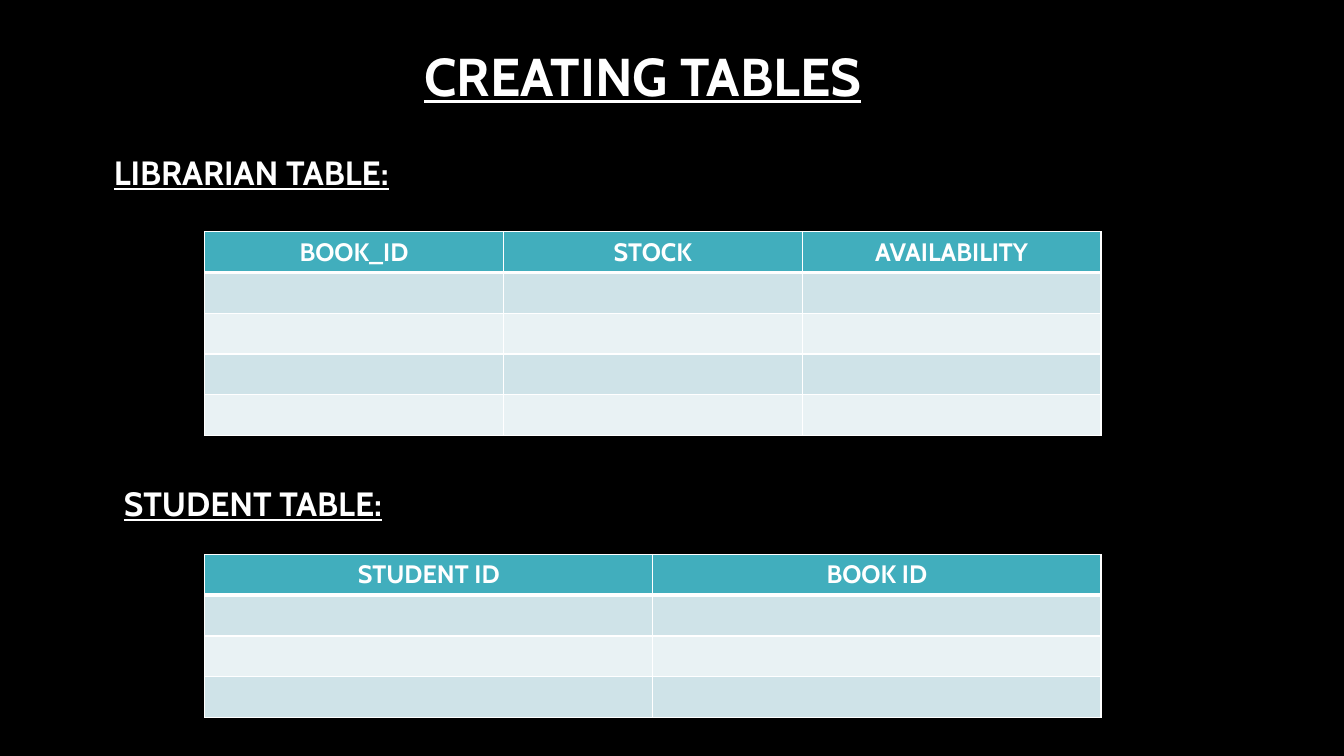
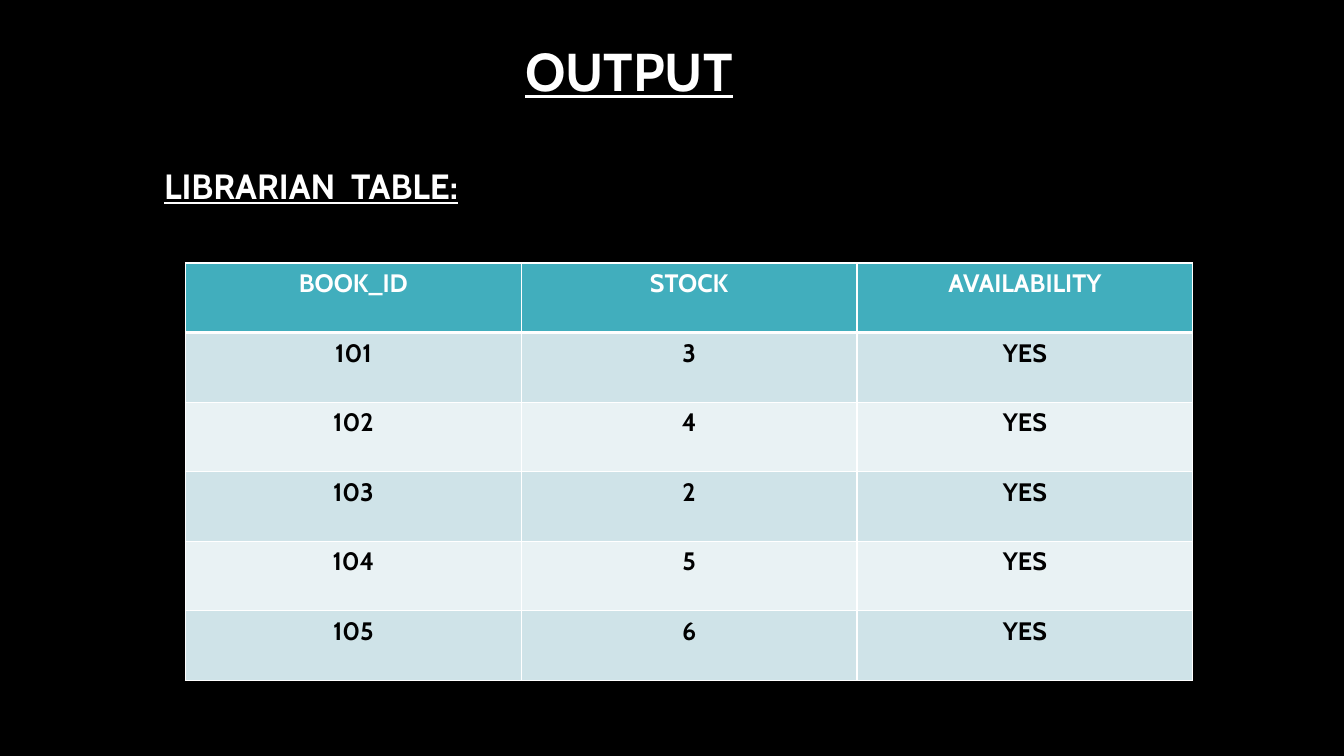
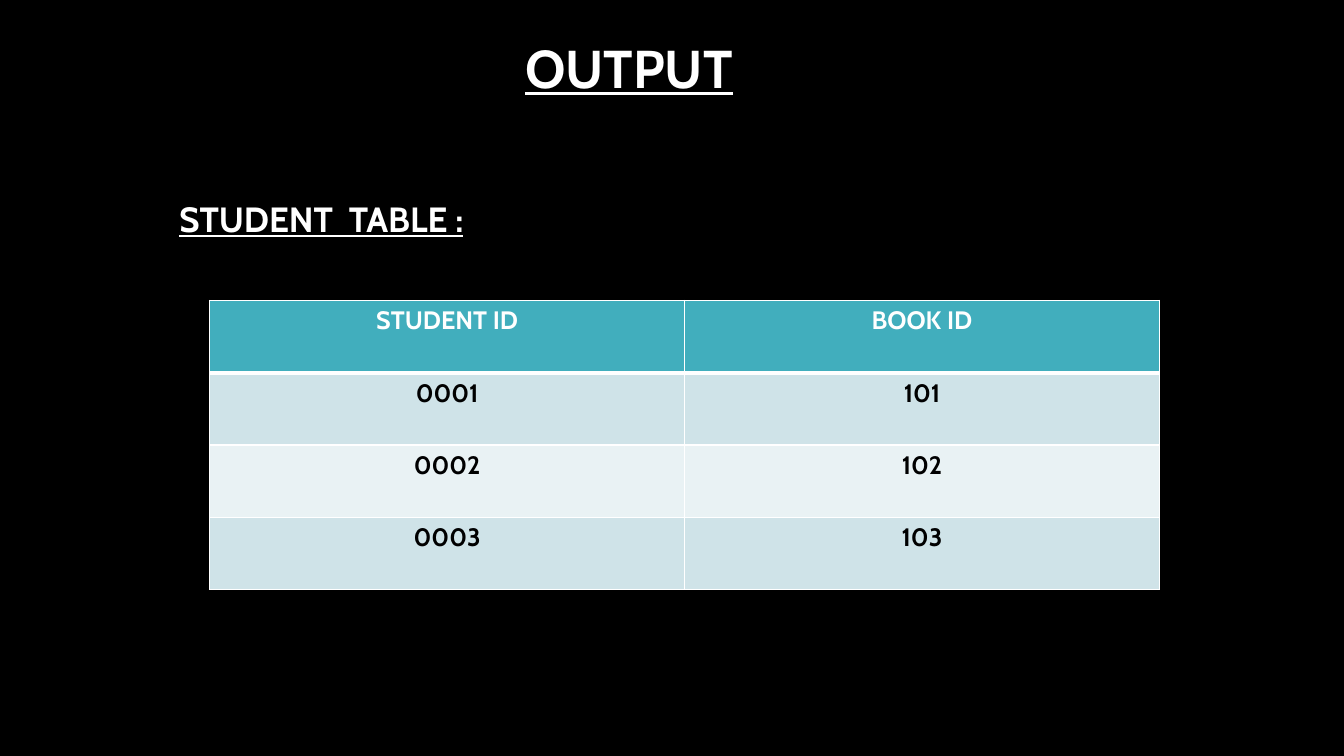
from dataclasses import dataclass

from lxml import etree
from pptx import Presentation
from pptx.dml.color import RGBColor
from pptx.enum.text import MSO_AUTO_SIZE, PP_ALIGN
from pptx.oxml.ns import qn
from pptx.util import Inches, Pt

CENTER = PP_ALIGN.CENTER
GROW = MSO_AUTO_SIZE.SHAPE_TO_FIT_TEXT


@dataclass(frozen=True)
class Theme:
    font: str = "Cabin"
    background: str = "000000"
    light: str = "FFFFFF"
    dark: str = "000000"
    header: str = "41AEBD"
    bands: tuple = ("CFE3E8", "E9F2F4")
    title_size: int = 38
    output_heading_size: int = 25
    heading_size: int = 24
    cell_size: int = 18
    border: int = 1
    header_rule: int = 3


THEME = Theme()

LIBRARIAN_COLUMNS = ["BOOK_ID", "STOCK", "AVAILABILITY"]
STUDENT_COLUMNS = ["STUDENT ID", "BOOK ID"]
STOCK_BY_BOOK = {"101": "3", "102": "4", "103": "2", "104": "5", "105": "6"}
LOANS = [["0001", "101"], ["0002", "102"], ["0003", "103"]]


def style_runs(paragraph, size, color, underline=None):
    for run in paragraph.runs:
        font = run.font
        font.name, font.size, font.bold = THEME.font, Pt(size), True
        font.underline = underline
        font.color.rgb = RGBColor.from_string(color)


def add_heading(slide, text, box, size):
    """Underlined bold line, used for titles and table headings."""
    frame = slide.shapes.add_textbox(*map(Inches, box)).text_frame
    frame.word_wrap = True
    frame.auto_size = GROW
    frame.text = text
    style_runs(frame.paragraphs[0], size, THEME.light, underline=True)


def add_title(slide, text, left, top, width):
    add_heading(slide, text, (left, top, width, 0.74), THEME.title_size)


def set_borders(cell, top, bottom):
    properties = cell._tc.get_or_add_tcPr()
    widths = {"a:lnL": THEME.border, "a:lnR": THEME.border,
              "a:lnT": top, "a:lnB": bottom}
    for tag, width in widths.items():
        line = etree.SubElement(properties, qn(tag), w=str(Pt(width)))
        fill = etree.SubElement(line, qn("a:solidFill"))
        etree.SubElement(fill, qn("a:srgbClr"), val=THEME.light)


def add_data_table(slide, rows, box):
    """Header row and banded body, with equal columns and equal rows."""
    left, top, width, height = map(Inches, box)
    table = slide.shapes.add_table(
        len(rows), len(rows[0]), left, top, width, height).table
    table.horz_banding = False
    for row in table.rows:
        row.height = height // len(rows)

    for r, values in enumerate(rows):
        is_header = r == 0
        fill = THEME.header if is_header else THEME.bands[(r - 1) % 2]
        color = THEME.light if is_header else THEME.dark
        above = THEME.header_rule if r == 1 else THEME.border
        below = THEME.header_rule if is_header else THEME.border
        for c, value in enumerate(values):
            cell = table.cell(r, c)
            set_borders(cell, above, below)
            cell.fill.solid()
            cell.fill.fore_color.rgb = RGBColor.from_string(fill)
            paragraph = cell.text_frame.paragraphs[0]
            paragraph.text = value
            paragraph.alignment = CENTER
            style_runs(paragraph, THEME.cell_size, color)


def blank_rows(columns, count):
    return [columns] + [[""] * len(columns) for _ in range(count)]


def build_creating_tables(slide):
    add_title(slide, "CREATING TABLES", 4.11, 0.38, 8.68)
    # Librarian table
    add_heading(slide, "LIBRARIAN TABLE:", (1.03, 1.46, 3.35, 0.5),
                THEME.heading_size)
    add_data_table(slide, blank_rows(LIBRARIAN_COLUMNS, 4),
                   (2.03, 2.3, 8.89, 2.02))
    # Student table
    add_heading(slide, "STUDENT TABLE:", (1.13, 4.74, 3.35, 0.5),
                THEME.heading_size)
    add_data_table(slide, blank_rows(STUDENT_COLUMNS, 3),
                   (2.03, 5.5, 8.89, 1.62))


def build_output(slide, title_top, heading, heading_at, rows, table_box):
    add_title(slide, "OUTPUT", 5.11, title_top, 8.2)
    add_heading(slide, heading, (*heading_at, 6.66, 0.52),
                THEME.output_heading_size)
    add_data_table(slide, rows, table_box)


def main():
    prs = Presentation()
    prs.slide_width, prs.slide_height = Inches(13.33), Inches(7.5)
    blank = prs.slide_layouts[6]

    # Shared background
    backdrop = prs.slide_master.background.fill
    backdrop.solid()
    backdrop.fore_color.rgb = RGBColor.from_string(THEME.background)

    build_creating_tables(prs.slides.add_slide(blank))

    # Query results
    books = [[book, stock, "YES"] for book, stock in STOCK_BY_BOOK.items()]
    build_output(prs.slides.add_slide(blank), 0.33,
                 "LIBRARIAN  TABLE:", (1.53, 1.58),
                 [LIBRARIAN_COLUMNS] + books, (1.84, 2.61, 9.99, 4.14))
    build_output(prs.slides.add_slide(blank), 0.3,
                 "STUDENT  TABLE :", (1.68, 1.91),
                 [STUDENT_COLUMNS] + LOANS, (2.08, 2.98, 9.42, 2.87))

    prs.save("out.pptx")


if __name__ == "__main__":
    main()
